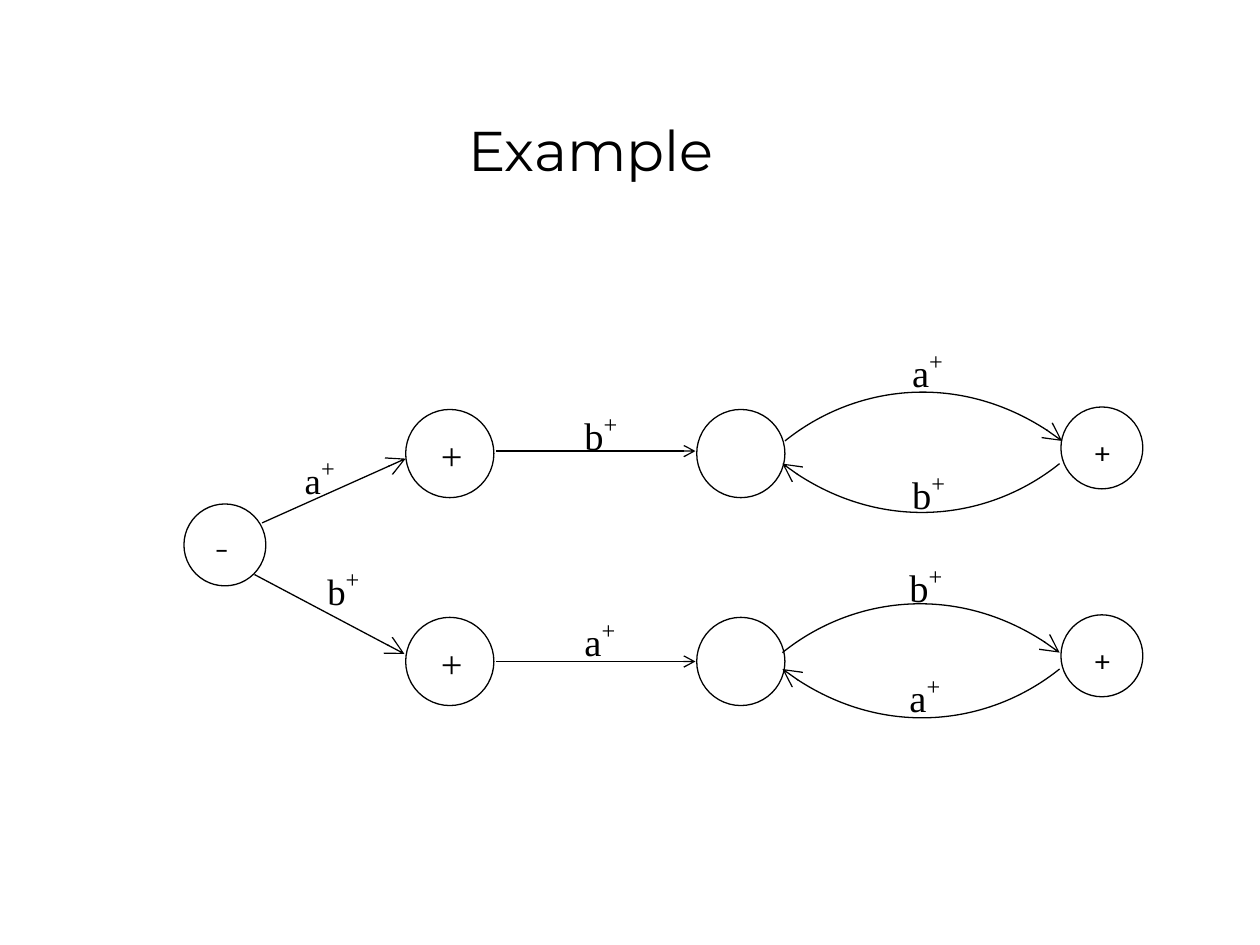
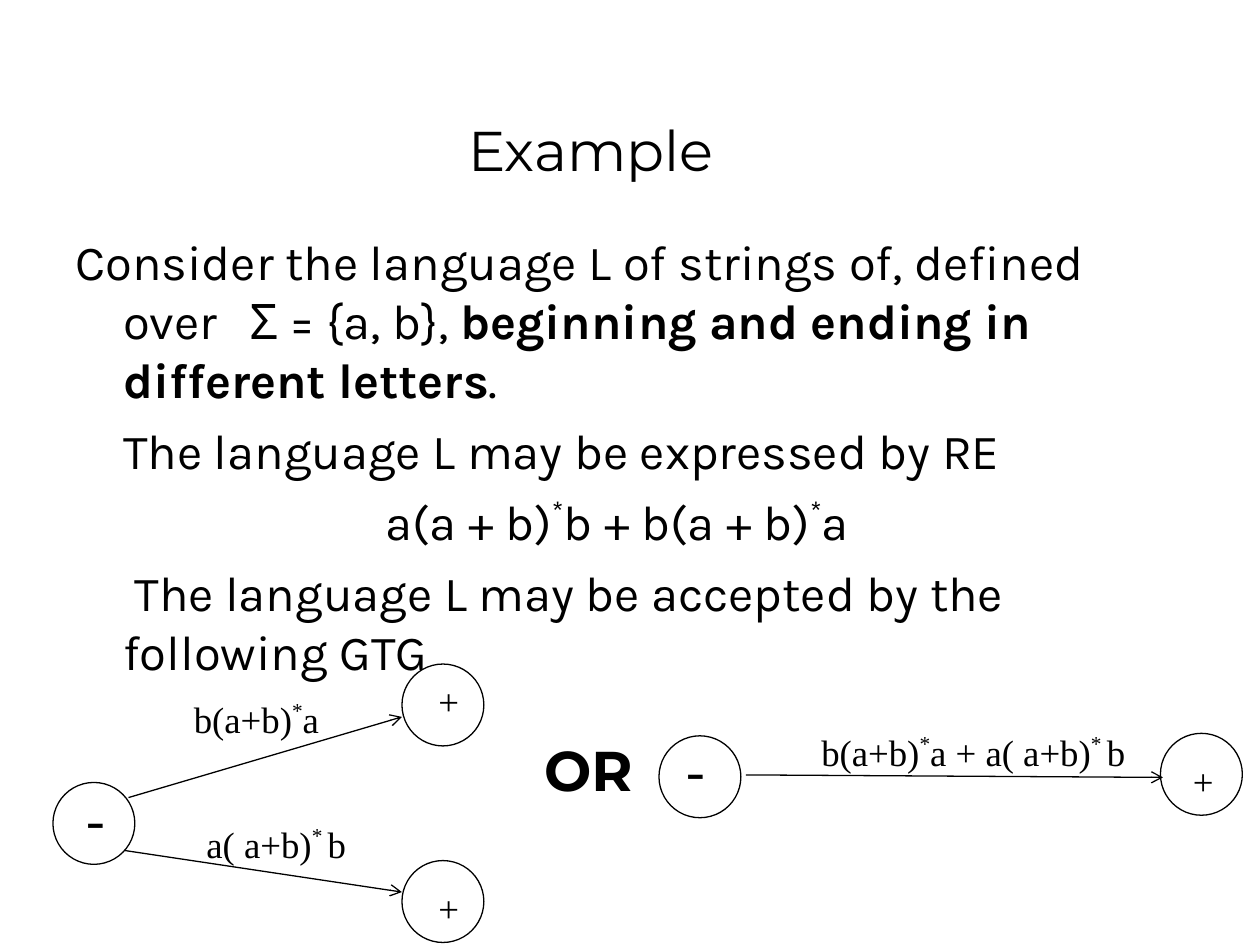
from dataclasses import dataclass

import pptx
import pptx.dml.color
import pptx.enum.shapes
import pptx.enum.text
import pptx.oxml.ns
import pptx.oxml.xmlchemy
import pptx.util
from lxml import etree

Inches = pptx.util.Inches
Align = pptx.enum.text.PP_ALIGN
Anchor = pptx.enum.text.MSO_ANCHOR
qn = pptx.oxml.ns.qn


@dataclass(frozen=True)
class Theme:
    ink: pptx.dml.color.RGBColor = pptx.dml.color.RGBColor(0, 0, 0)
    paper: pptx.dml.color.RGBColor = pptx.dml.color.RGBColor(255, 255, 255)
    title_font: str = "Montserrat"
    body_font: str = "Karla"
    label_font: str = "Times New Roman"
    title_size: int = 32
    body_size: int = 28
    label_size: int = 22
    small_label_size: int = 21
    raised_size: int = 24
    sign_size: int = 16
    minus_size: int = 32
    line_width: float = 0.75


THEME = Theme()


def add_span(para, text, *, size, font, bold=False, raised=False, tracking=0):
    span = para.add_run()
    span.text = text
    span.font.size = pptx.util.Pt(size)
    span.font.name = font
    span.font.bold = bold
    span.font.color.rgb = THEME.ink
    properties = span.font._element
    if raised:
        properties.set("baseline", "40000")
    if tracking:
        properties.set("spc", str(tracking * 100))


def add_spans(para, text, *, size, raised_size=None, **style):
    for index, part in enumerate(text.split("^")):
        raised = index % 2 == 1
        if part:
            add_span(para, part, size=raised_size or size if raised else size,
                     raised=raised, **style)


def add_frame(page, left, top, width, height, anchor=Anchor.TOP):
    box = page.shapes.add_textbox(Inches(left), Inches(top), Inches(width), Inches(height))
    frame = box.text_frame
    frame.word_wrap = True
    frame.vertical_anchor = anchor
    return frame


def add_text(page, text, left, top, width, height, *, anchor=Anchor.TOP,
             align=Align.LEFT, font=THEME.label_font, **style):
    para = add_frame(page, left, top, width, height, anchor).paragraphs[0]
    para.alignment = align
    add_spans(para, text, font=font, **style)


def add_heading(page, text, left, top, bold=False):
    add_text(page, text, left, top, 8.5, 1.25, anchor=Anchor.BOTTOM, align=Align.CENTER,
             font=THEME.title_font, size=THEME.title_size, bold=bold)


def add_state(page, left, top, diameter):
    circle = page.shapes.add_shape(pptx.enum.shapes.MSO_SHAPE.OVAL, Inches(left), Inches(top),
                                   Inches(diameter), Inches(diameter))
    circle.shadow.inherit = False
    circle.fill.solid()
    circle.fill.fore_color.rgb = THEME.paper
    style_line(circle.line)


def add_sign(page, text, left, top):
    add_text(page, text, left, top, 0.92, 0.45, align=Align.CENTER,
             font=THEME.body_font, size=THEME.sign_size)


def style_line(line, head=None):
    line.color.rgb = THEME.ink
    line.width = pptx.util.Pt(THEME.line_width)
    if head:
        etree.SubElement(line._get_or_add_ln(), qn("a:tailEnd"), type="arrow", w=head, len=head)


def add_arrow(page, start, end, head="med"):
    arrow = page.shapes.add_connector(pptx.enum.shapes.MSO_CONNECTOR.STRAIGHT,
                                      *map(Inches, start + end))
    style_line(arrow.line, head)
    etree.SubElement(arrow._element.spPr, qn("a:effectLst"))


def add_curve(page, start, direction):
    x, y = start
    offsets = [(0.56, 0.45), (1.47, 0.56), (2.2, 0)]
    points = [(Inches(x + direction * across), Inches(y - direction * up))
              for across, up in offsets]
    builder = page.shapes.build_freeform(Inches(x), Inches(y))
    builder.add_line_segments(points, close=False)
    curve = builder.convert_to_shape()
    curve.shadow.inherit = False
    curve.fill.background()
    style_line(curve.line, "lg")
    outline = curve._element.find(".//" + qn("a:path"))
    bezier = etree.SubElement(outline, qn("a:cubicBezTo"))
    for segment in outline.findall(qn("a:lnTo")):
        bezier.append(segment[0])
        outline.remove(segment)


def add_page(deck):
    page = deck.slides.add_slide(deck.slide_layouts[6])
    add_heading(page, "Example", 0.44, 0.25)
    return page


def build_loops_page(deck):
    page = add_page(deck)
    add_state(page, 1.46, 4, 0.65)
    add_sign(page, "–", 1.3, 4.17)
    for top in (3.25, 4.9):
        for left in (3.22, 5.53):
            add_state(page, left, top, 0.7)
        add_text(page, "+", 3.4, top + 0.13, 0.98, 0.67, size=THEME.label_size)
    for top in (3.23, 4.88):
        add_state(page, 8.42, top, 0.65)
        add_sign(page, "+", 8.29, top + 0.16)

    add_arrow(page, (2.08, 4.15), (3.22, 3.64), "lg")
    add_arrow(page, (2.02, 4.56), (3.21, 5.19), "lg")
    for level in (3.58, 5.25):
        add_arrow(page, (3.94, level), (5.52, level))
    for start, direction in (((6.23, 3.5), 1), ((8.41, 3.68), -1),
                             ((6.21, 5.18), 1), ((8.41, 5.31), -1)):
        add_curve(page, start, direction)

    small, normal = THEME.small_label_size, THEME.label_size
    labels = [
        ("a^+", 2.32, 3.54, 0.7, small), ("b^+", 2.5, 4.42, 0.7, small),
        ("b^+", 4.54, 3.19, 0.98, normal), ("a^+", 4.54, 4.83, 0.98, normal),
        ("a^+", 7.14, 2.69, 0.75, normal), ("b^+", 7.14, 3.66, 0.75, normal),
        ("b^+", 7.12, 4.4, 0.7, normal), ("a^+", 7.12, 5.27, 0.7, normal),
    ]
    for text, left, top, width, size in labels:
        add_text(page, text, left, top, width, 0.5, size=size, raised_size=THEME.raised_size)


def add_body(page):
    frame = add_frame(page, 0.5, 1.79, 8.94, 4.52)
    style = {"size": THEME.body_size, "font": THEME.body_font}
    indents = [(0.38, -0.38), (0.38, 0), (2.46, 0), (0.38, 0.09)]
    paras = [frame.paragraphs[0]] + [frame.add_paragraph() for _ in indents[1:]]
    for index, (para, (margin, first)) in enumerate(zip(paras, indents)):
        properties = para._p.get_or_add_pPr()
        properties.set("marL", str(Inches(margin)))
        properties.set("indent", str(Inches(first)))
        if index:
            para.space_before = pptx.util.Pt(7)

    language, expressed, expression, accepted = paras
    add_span(language, "Consider the language L of strings of, defined over", **style)
    add_span(language, " ", tracking=12, **style)
    add_span(language, "Σ = {a, b}, ", **style)
    add_span(language, "beginning and ending in different letters", bold=True, **style)
    add_span(language, ".", **style)
    add_spans(expressed, "The language L may be expressed by RE", **style)
    add_spans(expression, "a(a + b)^*^b + b(a + b)^*^a", **style)
    add_spans(accepted, "The language L may be accepted by the following GTG", **style)


def build_language_page(deck):
    page = add_page(deck)
    add_body(page)
    for left, top in ((0.42, 6.21), (3.19, 6.83), (3.19, 5.27), (5.23, 5.84), (9.21, 5.82)):
        add_state(page, left, top, 0.65)
    for start, end in (((1.02, 6.33), (3.19, 5.69)), ((0.99, 6.75), (3.19, 7.08)),
                       ((5.92, 6.15), (9.23, 6.17))):
        add_arrow(page, start, end)

    small, minus = THEME.small_label_size, THEME.minus_size
    labels = [
        ("b(a+b)^*^a", 1.44, 5.48, 3.14, small), ("a( a+b)^* ^b", 1.54, 6.47, 1.74, small),
        ("b(a+b)^*^a + a( a+b)^* ^b", 6.42, 5.74, 3.5, small),
        ("-", 0.59, 6.17, 0.98, minus), ("-", 5.35, 5.78, 0.98, minus),
        ("+", 3.38, 5.34, 0.98, small), ("+", 3.38, 6.98, 0.98, small),
        ("+", 9.37, 5.97, 0.4, small),
    ]
    for text, left, top, width, size in labels:
        add_text(page, text, left, top, width, 0.5, size=size)
    add_heading(page, "OR", 0.42, 5.17, bold=True)


def main():
    deck = pptx.Presentation()
    deck.slide_width = Inches(10)
    deck.slide_height = Inches(7.5)
    build_loops_page(deck)
    build_language_page(deck)
    deck.save("out.pptx")


if __name__ == "__main__":
    main()
